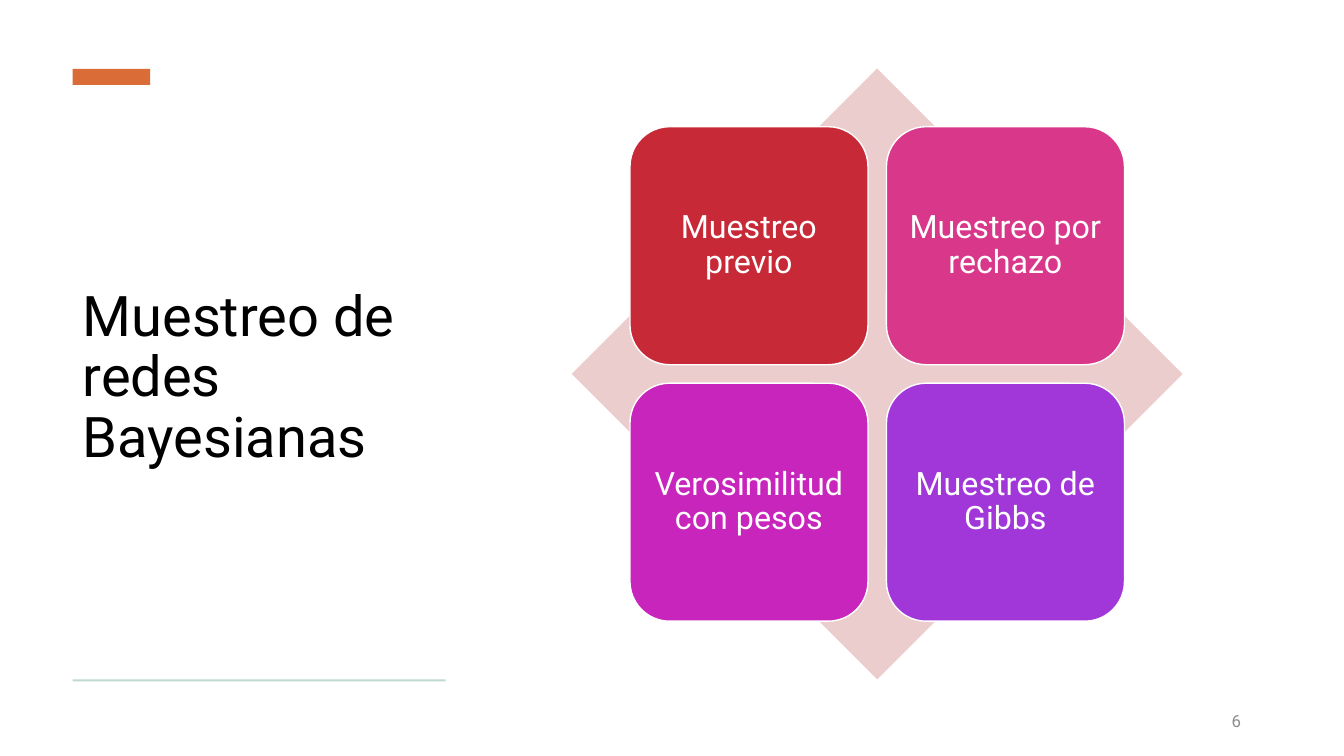
from pptx import Presentation
from pptx.dml.color import RGBColor
from pptx.enum.shapes import MSO_SHAPE
from pptx.enum.text import MSO_ANCHOR, PP_ALIGN
from pptx.util import Pt

COLORS = {
    "white": "FFFFFF", "title": "000000", "number": "8C8C8C",
    "accent": "D96C37", "rule": "BDDACD", "diamond": "EBCDCE",
    "red": "C82937", "pink": "D93789", "magenta": "C725BB", "purple": "A237D9",
}


class SlideBuilder:
    """Holds the style and the current page."""

    def __init__(self, page, font="Roboto"):
        self.page = page
        self.font = font

    def shape(self, kind, left, top, width, height, color, outline=None):
        shape = self.page.shapes.add_shape(
            kind, Pt(left), Pt(top), Pt(width), Pt(height))
        shape.shadow.inherit = False
        shape.fill.solid()
        shape.fill.fore_color.rgb = RGBColor.from_string(COLORS[color])
        if outline:
            shape.line.color.rgb = RGBColor.from_string(COLORS[outline])
            shape.line.width = Pt(1)
        else:
            shape.line.fill.background()
        return shape

    def set_text(self, shape, text, size, color, align, spacing=1.0, after=0):
        frame = shape.text_frame
        frame.word_wrap = True
        frame.vertical_anchor = MSO_ANCHOR.MIDDLE
        para = frame.paragraphs[0]
        para.text = text
        para.alignment = align
        para.line_spacing = spacing
        para.space_after = Pt(after)
        para.font.name = self.font
        para.font.size = Pt(size)
        para.font.color.rgb = RGBColor.from_string(COLORS[color])

    def text(self, left, top, width, height, *content, **spacing):
        box = self.page.shapes.add_textbox(
            Pt(left), Pt(top), Pt(width), Pt(height))
        self.set_text(box, *content, **spacing)

    def tile(self, left, top, side, text, color):
        tile = self.shape(MSO_SHAPE.ROUNDED_RECTANGLE,
                          left, top, side, side, color, outline="white")
        frame = tile.text_frame
        frame.margin_left = frame.margin_right = Pt(6.9)
        frame.margin_top = frame.margin_bottom = Pt(6.9)
        self.set_text(tile, text, 23, "white", PP_ALIGN.CENTER, spacing=0.9)


def main():
    deck = Presentation()
    deck.slide_width, deck.slide_height = Pt(960), Pt(540)
    builder = SlideBuilder(deck.slides.add_slide(deck.slide_layouts[6]))

    # Title column
    margin, column = 52, 266.4
    builder.text(margin, 75.6, column, 389.5, "Muestreo de redes Bayesianas",
                 40, "title", PP_ALIGN.LEFT, spacing=0.9)
    builder.shape(MSO_SHAPE.RECTANGLE, margin, 49.2, 55.4, 11.5, "accent")
    builder.shape(MSO_SHAPE.RECTANGLE, margin, 485.2, column, 1.44, "rule")

    # Slide number
    builder.text(697.7, 500.4, 195.8, 28.8, "6", 12, "number",
                 PP_ALIGN.RIGHT, after=6)

    # Diamond with a two by two grid of tiles at its centre
    center_x, center_y, span = 626.6, 267.1, 436.3
    builder.shape(MSO_SHAPE.DIAMOND, center_x - span / 2, center_y - span / 2,
                  span, span, "diamond")
    methods = [
        ("Muestreo previo", "red"), ("Muestreo por rechazo", "pink"),
        ("Verosimilitud con pesos", "magenta"), ("Muestreo de Gibbs", "purple"),
    ]
    side, gap = 170, 13.2
    offset = side + gap / 2
    for index, (text, color) in enumerate(methods):
        row, col = divmod(index, 2)
        builder.tile(center_x - offset + col * (side + gap),
                     center_y - offset + row * (side + gap), side, text, color)

    deck.save("out.pptx")


if __name__ == "__main__":
    main()
